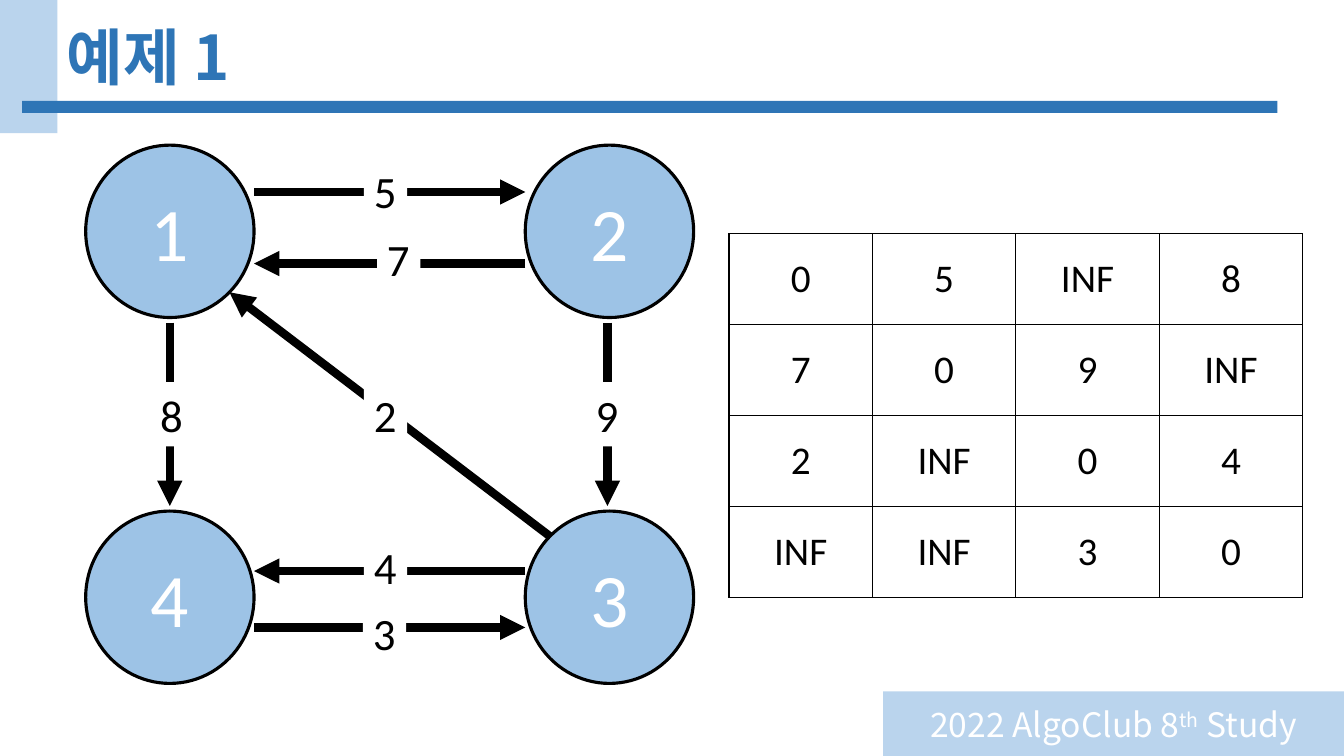
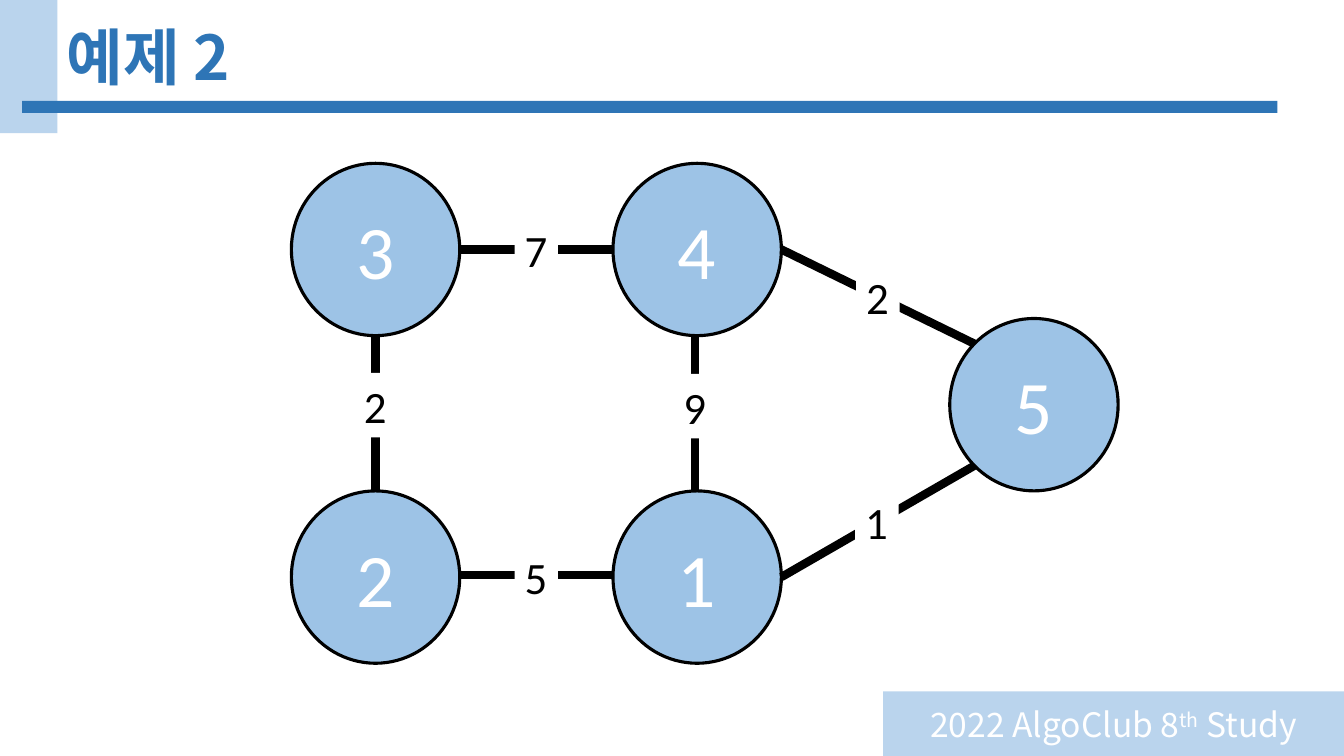
from lxml import etree
from pptx import Presentation
from pptx.dml.color import RGBColor
from pptx.enum.shapes import MSO_CONNECTOR, MSO_SHAPE
from pptx.enum.text import MSO_ANCHOR, MSO_AUTO_SIZE, PP_ALIGN
from pptx.oxml.ns import qn
from pptx.util import Inches, Pt

RECT, OVAL = MSO_SHAPE.RECTANGLE, MSO_SHAPE.OVAL
STRAIGHT = MSO_CONNECTOR.STRAIGHT
MIDDLE = MSO_ANCHOR.MIDDLE
LEFT, CENTER = PP_ALIGN.LEFT, PP_ALIGN.CENTER
GROW = MSO_AUTO_SIZE.SHAPE_TO_FIT_TEXT

BLUE, PALE, BLACK, WHITE = "2E75B6", "9DC3E6", "000000", "FFFFFF"
LATIN, KOREAN = "Calibri", "Noto Sans CJK KR"
TITLE_FONT = {"name": KOREAN, "size": Pt(44), "bold": True, "color": BLUE}
FOOTER_FONT = {"name": KOREAN, "size": Pt(24), "color": WHITE}
NODE_FONT = {"name": LATIN, "size": Pt(54), "color": WHITE}
WEIGHT_FONT = {"name": LATIN, "size": Pt(32), "color": BLACK}
CELL_FONT = {"name": LATIN, "size": Pt(28), "color": BLACK}

# Node size, and offsets from a node's centre to its rim
NODE_W, NODE_H = 1.67, 1.71
RX, RY = NODE_W / 2, NODE_H / 2
DX, DY = RX * 0.707, RY * 0.707
GAP = 0.05
LABEL_W, LABEL_H = 0.43, 0.64


def rgb(value):
    return RGBColor.from_string(value)


def add_run(p, text, style):
    r = p.add_run()
    r.text = text
    for key, value in style.items():
        if key == "color":
            r.font.color.rgb = rgb(value)
        else:
            setattr(r.font, key, value)


def write(tf, text, style, align):
    tf.vertical_anchor = MIDDLE
    p = tf.paragraphs[0]
    p.alignment = align
    add_run(p, text, style)
    return p


def set_east_asian(shape, face):
    for props in shape.element.iter(qn("a:rPr")):
        etree.SubElement(props, qn("a:ea"), typeface=face)


def add_box(s, kind, box, fill, alpha=None):
    sp = s.shapes.add_shape(kind, *map(Inches, box))
    sp.shadow.inherit = False
    sp.fill.solid()
    sp.fill.fore_color.rgb = rgb(fill)
    sp.line.fill.background()
    if alpha:
        color = sp.element.spPr.find(qn("a:solidFill"))[0]
        etree.SubElement(color, qn("a:alpha"), val=str(alpha * 1000))
    return sp


def add_bands(s, layout):
    """Draw the shared bands and move them to the layout."""
    strip = add_box(s, RECT, (0, 0, 0.57, 1.32), PALE, 70)
    rule = add_box(s, RECT, (0.22, 1, 12.45, 0.12), BLUE)
    footer = add_box(s, RECT, (8.76, 6.86, 4.57, 0.64), PALE, 70)
    p = write(footer.text_frame, "2022 AlgoClub 8", FOOTER_FONT, CENTER)
    add_run(p, "th", FOOTER_FONT)
    add_run(p, " Study", FOOTER_FONT)
    list(footer.element.iter(qn("a:rPr")))[1].set("baseline", "30000")
    set_east_asian(footer, KOREAN)
    for band in (strip, rule, footer):
        layout.shapes.element.append(band.element)


def add_title(s, text):
    title = s.shapes.title
    box = dict(left=0.56, top=-0.12, width=11.5, height=1.45)
    for key, value in box.items():
        setattr(title, key, Inches(value))
    p = write(title.text_frame, text, TITLE_FONT, LEFT)
    p.line_spacing = 0.9
    set_east_asian(title, KOREAN)


def add_node(s, x, y, name):
    sp = add_box(s, OVAL, (x, y, NODE_W, NODE_H), PALE)
    sp.line.color.rgb = rgb(BLACK)
    sp.line.width = Pt(2.25)
    write(sp.text_frame, name, NODE_FONT, CENTER)


def add_edge(s, start, end, arrow):
    line = s.shapes.add_connector(STRAIGHT, *map(Inches, start + end))
    line.line.color.rgb = rgb(BLACK)
    line.line.width = Pt(6)
    props = line.element.spPr
    if arrow:
        etree.SubElement(props.find(qn("a:ln")), qn("a:tailEnd"), type="triangle")
    etree.SubElement(props, qn("a:effectLst"))


def add_weight(s, x, y, text):
    box = (x - LABEL_W / 2, y - LABEL_H / 2, LABEL_W, LABEL_H)
    sp = add_box(s, RECT, box, WHITE)
    tf = sp.text_frame
    tf.word_wrap = False
    tf.auto_size = GROW
    write(tf, text, WEIGHT_FONT, LEFT)


def add_graph(s, origin, nodes, edges, arrow):
    """Edges hold weight, start, end and label shift; ends are offsets from node centres."""
    left, top = origin

    def locate(name, dx, dy):
        x, y = nodes[name]
        return left + x + RX + dx, top + y + RY + dy

    for name, (x, y) in nodes.items():
        add_node(s, left + x, top + y, name)
    ends = [(locate(*start), locate(*end)) for _, start, end, _ in edges]
    for start, end in ends:
        add_edge(s, start, end, arrow)
    for (weight, _, _, shift), (start, end) in zip(edges, ends):
        x, y = [(a + b) / 2 + d for a, b, d in zip(start, end, shift)]
        add_weight(s, x, y, weight)


def add_border(cell):
    props = cell._tc.get_or_add_tcPr()
    for i, side in enumerate(("lnL", "lnR", "lnT", "lnB")):
        line = etree.Element(qn("a:" + side), w=str(Pt(1)))
        fill = etree.SubElement(line, qn("a:solidFill"))
        etree.SubElement(fill, qn("a:srgbClr"), val=BLACK)
        props.insert(i, line)


def add_matrix(s, box, rows):
    table = s.shapes.add_table(len(rows), len(rows[0]), *map(Inches, box)).table
    table.first_row = table.horz_banding = False
    for i, row in enumerate(rows):
        for j, value in enumerate(row):
            cell = table.cell(i, j)
            cell.fill.background()
            cell.vertical_anchor = MIDDLE
            p = cell.text_frame.paragraphs[0]
            p.alignment = CENTER
            add_run(p, value, CELL_FONT)
            add_border(cell)


def add_directed_example(s):
    add_title(s, "예제 1")
    nodes = {"1": (0, 0), "3": (4.36, 3.63), "2": (4.36, 0), "4": (0, 3.63)}
    edges = [
        ("5", ("1", RX, -0.39), ("2", -RX, -0.39), (-0.04, -0.01)),
        ("7", ("2", -RX, 0.32), ("1", RX, 0.32), (0.09, -0.05)),
        ("9", ("2", -0.02, RY + GAP), ("3", -0.02, -RY - GAP), (0, 0)),
        ("2", ("3", -DX, -DY), ("1", DX, DY), (-0.04, 0)),
        ("8", ("1", 0, RY + GAP), ("4", 0, -RY - GAP), (0.02, 0)),
        ("4", ("3", -RX, -0.26), ("4", RX, -0.26), (-0.04, -0.04)),
        ("3", ("4", RX, 0.3), ("3", -RX, 0.3), (-0.05, 0.05)),
    ]
    add_graph(s, (0.85, 1.44), nodes, edges, arrow=True)
    add_matrix(s, (7.23, 2.32, 5.69, 3.61), [
        ["0", "5", "INF", "8"],
        ["7", "0", "9", "INF"],
        ["2", "INF", "0", "4"],
        ["INF", "INF", "3", "0"],
    ])


def add_undirected_example(s):
    add_title(s, "예제 2")
    nodes = {"1": (3.19, 3.25), "3": (0, 0), "2": (0, 3.25),
             "4": (3.19, 0), "5": (6.53, 1.54)}
    edges = [
        ("7", ("3", RX, 0), ("4", -RX, 0), (0, 0)),
        ("9", ("4", -0.02, RY), ("1", -0.02, -RY), (0, -0.07)),
        ("2", ("3", 0, RY), ("2", 0, -RY), (0, -0.08)),
        ("5", ("2", RX, -0.02), ("1", -RX, -0.02), (0, 0.02)),
        ("2", ("4", RX, 0), ("5", -DX, -DY), (0, 0)),
        ("1", ("1", RX, 0), ("5", -DX, DY), (-0.01, 0)),
    ]
    add_graph(s, (2.89, 1.62), nodes, edges, arrow=False)


def main():
    prs = Presentation()
    prs.slide_width, prs.slide_height = Inches(13.33), Inches(7.5)
    layout = prs.slide_layouts[5]
    slides = [prs.slides.add_slide(layout) for _ in range(2)]
    add_bands(slides[0], layout)
    add_directed_example(slides[0])
    add_undirected_example(slides[1])
    prs.save("out.pptx")


if __name__ == "__main__":
    main()
